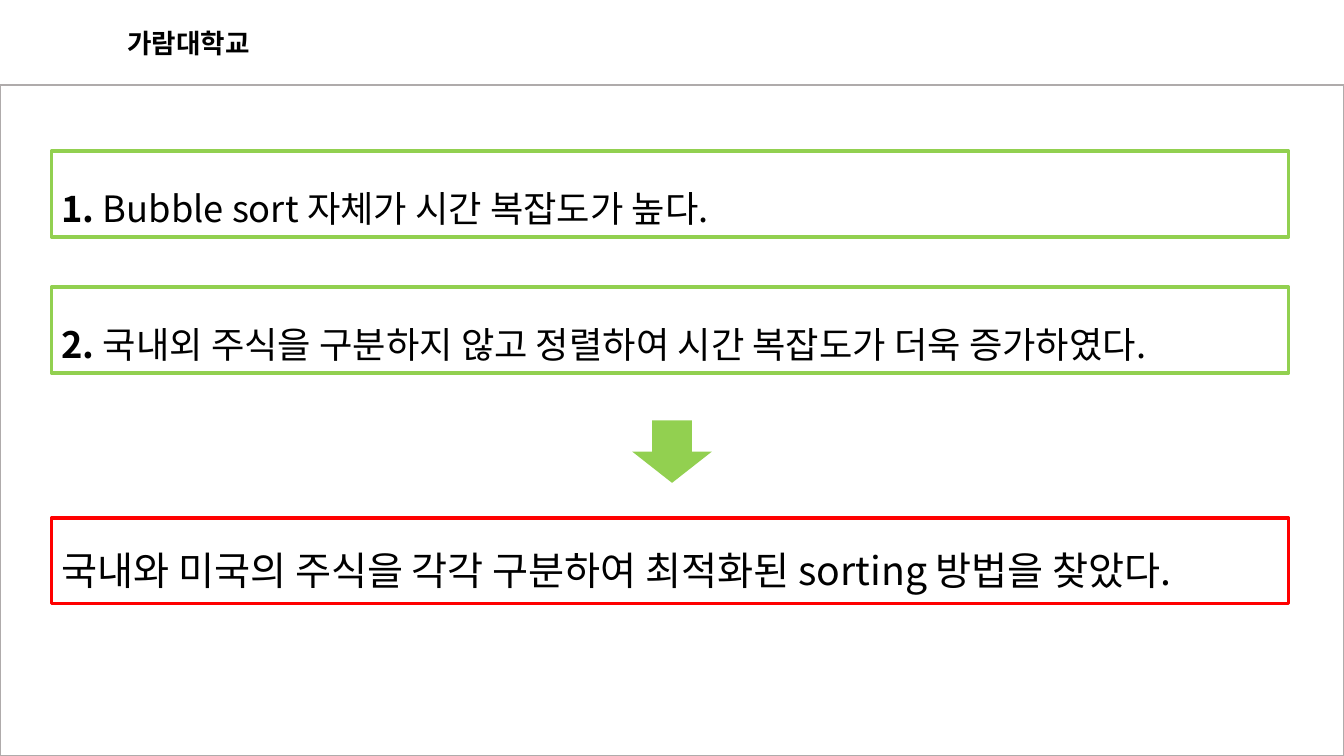
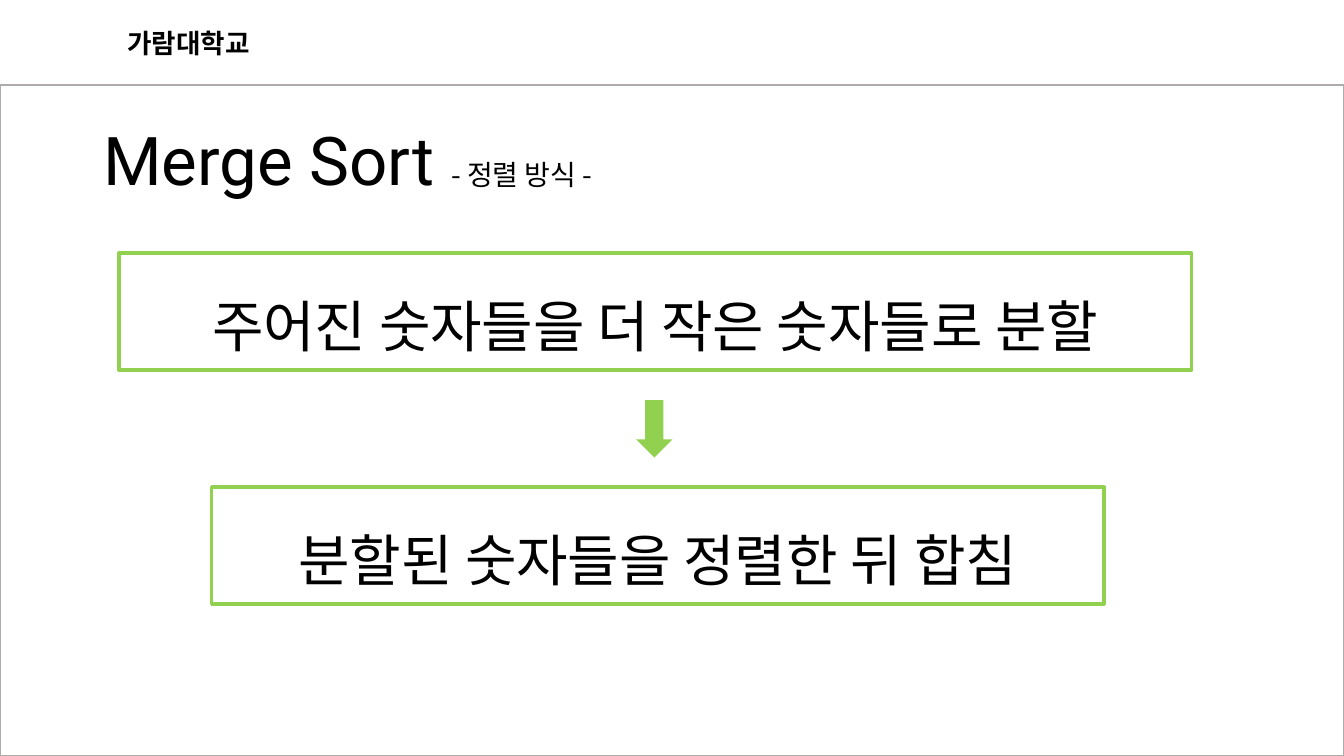
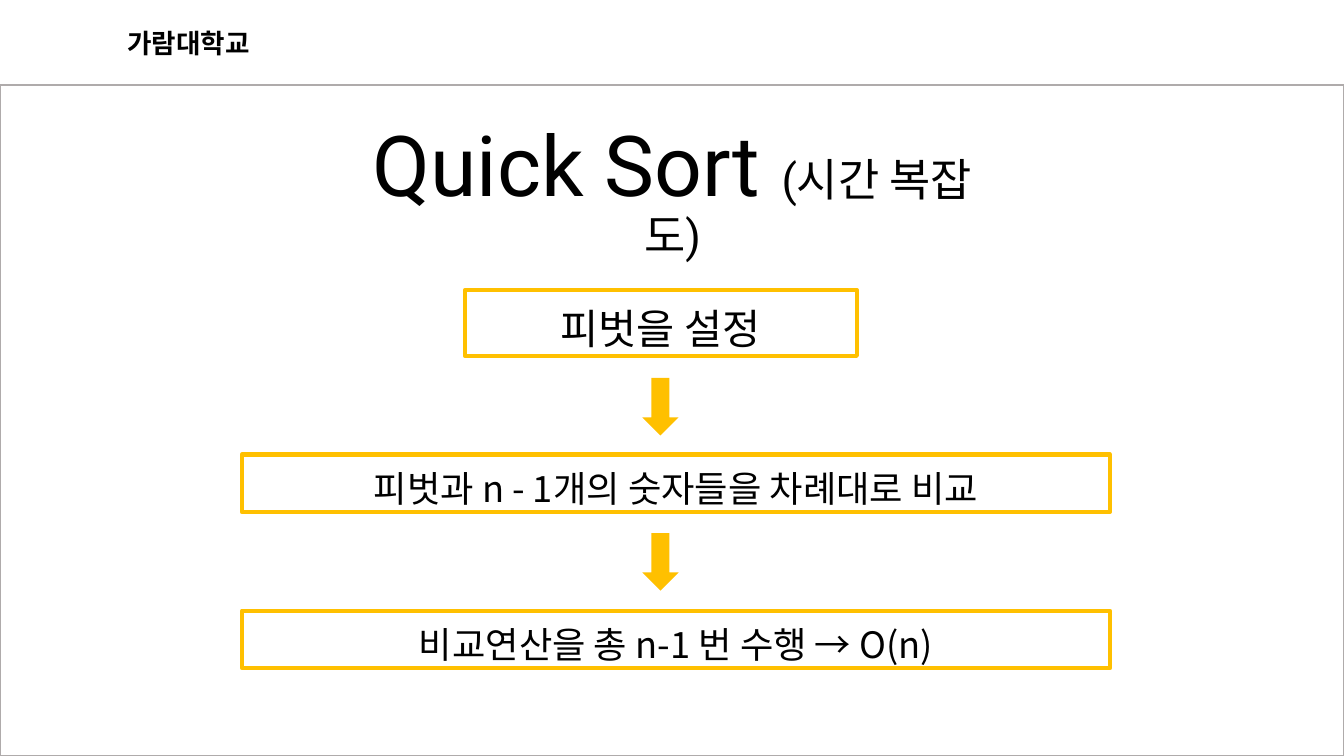
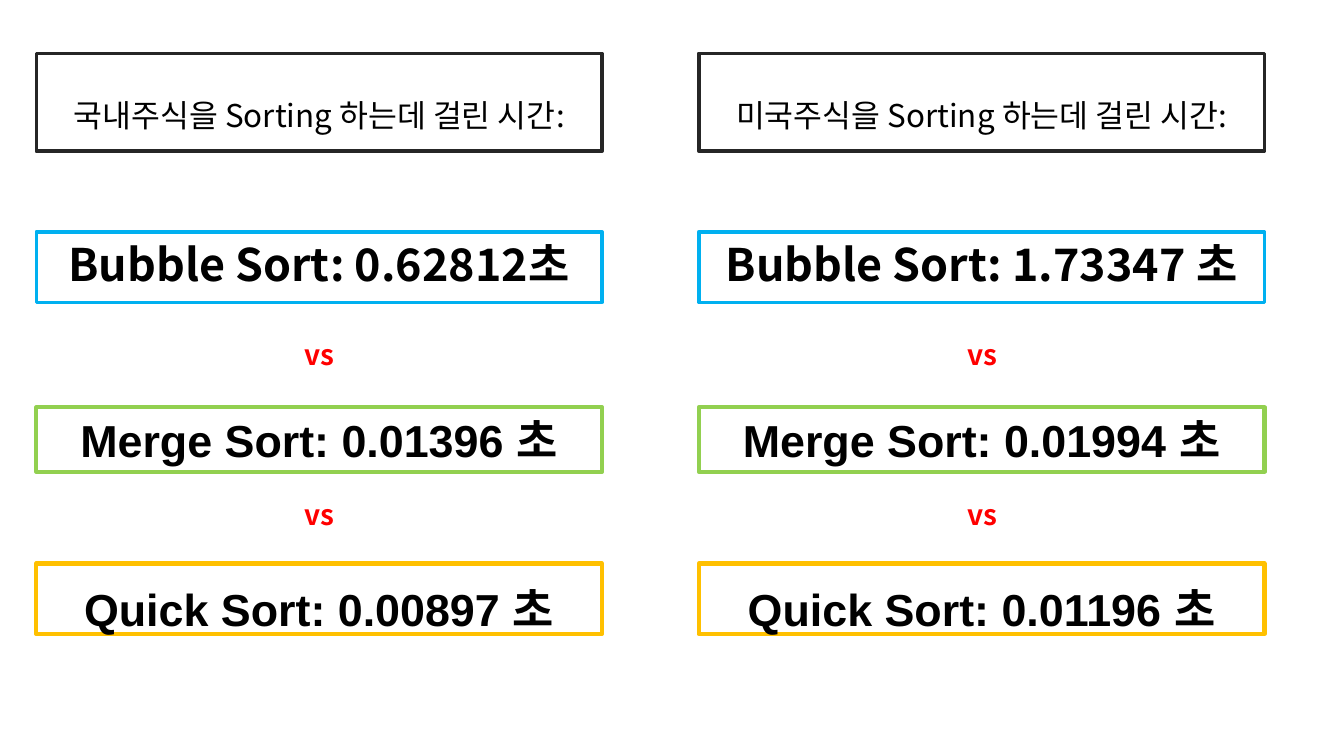
import pptx
import pptx.util
import pptx.dml.color
import pptx.enum.shapes
import pptx.enum.text
import pptx.oxml.ns
from lxml import etree

KOREAN = "Noto Sans CJK KR"
BLACK, GREY, DARK = "000000", "AFABAB", "262626"
GREEN, AMBER, RED, BLUE = "92D050", "FFC000", "FF0000", "00B0F0"
SLIDE = (0, 0, 13.33, 7.5)
TITLE_ONLY, BLANK = 5, 6
SHAPES = pptx.enum.shapes.MSO_SHAPE
ALIGN = pptx.enum.text.PP_ALIGN
ANCHOR = pptx.enum.text.MSO_ANCHOR
FIT = pptx.enum.text.MSO_AUTO_SIZE


def rgb(value):
    """Turn a hex string into a colour."""
    return pptx.dml.color.RGBColor.from_string(value)


def part(box, x, y, w, h):
    """Return the area at the given percentages of a box, in inches."""
    left, top, width, height = box
    return (left + width * x / 100, top + height * y / 100,
            width * w / 100, height * h / 100)


def emu(box):
    """Convert a box from inches to slide units."""
    return [pptx.util.Inches(v) for v in box]


def style(font, size=None, name=None, color=None, bold=None):
    """Set the given properties of a font."""
    if size:
        font.size = pptx.util.Pt(size)
    if name:
        font.name = name
    if color:
        font.color.rgb = rgb(color)
    if bold is not None:
        font.bold = bold


def write(tf, runs, size, name=KOREAN, color=BLACK, bold=False, align=ALIGN.CENTER,
          spacing=None, before=0, anchor=ANCHOR.TOP, fit=FIT.NONE):
    """Write one paragraph; runs is a text or a list of (text, font changes)."""
    tf.word_wrap = True
    tf.auto_size = fit
    tf.vertical_anchor = anchor
    p = tf.paragraphs[0]
    p.alignment = align
    p.line_spacing = spacing
    p.space_before = pptx.util.Pt(before)
    style(p.font, size, name, color, bold)
    for text, changes in [(runs, {})] if isinstance(runs, str) else runs:
        r = p.add_run()
        r.text = text
        style(r.font, **changes)
    for latin in list(p._p.iter(pptx.oxml.ns.qn("a:latin"))):
        ea = etree.Element(pptx.oxml.ns.qn("a:ea"), typeface=KOREAN)
        latin.addnext(ea)


def shape(s, box, kind=SHAPES.RECTANGLE, fill=None, line=None, width=2.5):
    """Add a flat preset shape."""
    sp = s.shapes.add_shape(kind, *emu(box))
    sp.shadow.inherit = False
    if fill:
        sp.fill.solid()
        sp.fill.fore_color.rgb = rgb(fill)
    else:
        sp.fill.background()
    if line:
        sp.line.color.rgb = rgb(line)
        sp.line.width = pptx.util.Pt(width)
    else:
        sp.line.fill.background()
    return sp


def outlined(s, box, runs, size, line, width=2.5, **text):
    """Add an outlined box holding one paragraph."""
    write(shape(s, box, line=line, width=width).text_frame, runs, size, **text)


def label(s, box, text, size, color=BLACK):
    """Add a bold centred label."""
    tf = s.shapes.add_textbox(*emu(box)).text_frame
    write(tf, text, size, color=color, bold=True, anchor=ANCHOR.MIDDLE)


def arrow(s, box, color):
    """Add a filled down arrow."""
    shape(s, box, SHAPES.DOWN_ARROW, fill=color)


def framed_slide(prs, layout=BLANK):
    """Add a slide with the header band and the content frame."""
    s = prs.slides.add_slide(prs.slide_layouts[layout])
    shape(s, part(SLIDE, 0, 11.2, 100, 88.8), line=GREY, width=1.5)
    label(s, part(SLIDE, 6.38, 2.4, 15.3, 6.53), "가람대학교", 19)
    return s


def title(s, box, runs, size):
    """Place and fill the title placeholder."""
    sp = s.shapes.title
    sp.left, sp.top, sp.width, sp.height = emu(box)
    write(sp.text_frame, runs, size, name="Roboto", spacing=0.9, anchor=ANCHOR.MIDDLE)


def problem_slide(prs, box):
    """Show the numbered problems and the conclusion drawn from them."""
    s = framed_slide(prs)
    problems = ["Bubble sort 자체가 시간 복잡도가 높다.",
                "국내외 주식을 구분하지 않고 정렬하여 시간 복잡도가 더욱 증가하였다."]
    for i, problem in enumerate(problems):
        outlined(s, part(box, 3.83, 20 + 18 * i, 92.05, 11.33),
                 [(f"{i + 1}. ", {"bold": True}), (problem, {})], 25.9, GREEN,
                 align=ALIGN.LEFT, spacing=1.7, before=10)
    outlined(s, part(box, 3.83, 68.53, 92.05, 11.33),
             "국내와 미국의 주식을 각각 구분하여 최적화된 sorting 방법을 찾았다.",
             28, RED, align=ALIGN.LEFT, spacing=1.5, before=10)
    arrow(s, part(box, 47.04, 55.6, 5.93, 8.27), GREEN)


def steps_slide(prs, box, heading, heading_size, heading_at, steps, arrows,
                color, width, spacing):
    """Show a titled chain of steps joined by arrows."""
    s = framed_slide(prs, TITLE_ONLY)
    title(s, part(box, *heading_at), heading, heading_size)
    for text, size, at in steps:
        outlined(s, part(box, *at), text, size, color, width,
                 spacing=spacing, before=10)
    for x, y in arrows:
        arrow(s, part(box, x, y, 2.7, 7.6), color)


def timing_column(s, box, market, bubble, merge, quick):
    """Show the sorting times of one market, one below the other."""
    outlined(s, part(box, 0, 0, 100, 16.84), f"{market}을 Sorting 하는데 걸린 시간:",
             22.4, DARK, spacing=2.0, before=10)
    outlined(s, part(box, 0, 30.73, 100, 12.15), f"Bubble Sort: {bubble}",
             32, BLUE, bold=True, before=10)
    outlined(s, part(box, 0, 60.94, 100, 11.11), f"Merge Sort: {merge}",
             32, GREEN, 3, name="Arial", bold=True, fit=FIT.SHAPE_TO_FIT_TEXT)
    outlined(s, part(box, 0, 87.85, 100, 12.15), f"Quick Sort: {quick}",
             32, AMBER, 3, name="Arial", bold=True, spacing=1.25,
             fit=FIT.SHAPE_TO_FIT_TEXT)
    for y in (48.44, 76.04):
        label(s, part(box, 30.84, y, 38.5, 6.77), "vs", 20, RED)


def timing_slide(prs, box):
    """Compare the sorting times of both markets."""
    s = prs.slides.add_slide(prs.slide_layouts[BLANK])
    columns = [("국내주식", "0.62812초", "0.01396 초", "0.00897 초"),
               ("미국주식", "1.73347 초", "0.01994 초", "0.01196 초")]
    for x, column in zip((2.7, 51.99), columns):
        timing_column(s, part(box, x, 7.07, 42.09, 76.8), *column)


prs = pptx.Presentation()
prs.slide_width, prs.slide_height = emu(SLIDE[2:])
problem_slide(prs, SLIDE)
steps_slide(prs, SLIDE,
            [("Merge Sort ", {}), ("- 정렬 방식 -", {"size": 20, "name": KOREAN})],
            48, (4.43, 17.33, 42.91, 8.67),
            [("주어진 숫자들을 더 작은 숫자들로 분할", 40, (8.85, 33.47, 79.82, 15.47)),
             ("분할된 숫자들을 정렬한 뒤 합침", 40, (15.75, 64.4, 66.39, 15.47))],
            [(47.34, 52.93)], GREEN, 2.5, 1.5)
steps_slide(prs, SLIDE,
            [("Quick Sort ", {}), ("(시간 복잡도)", {"size": 32})],
            60, (25.36, 19.2, 49.36, 12.67),
            [("피벗을 설정", 29.6, (34.58, 38.4, 29.18, 8.67)),
             ("피벗과 n - 1개의 숫자들을 차례대로 비교", 25.9, (18, 60.13, 64.59, 7.6)),
             ("비교연산을 총 n-1 번 수행 → O(n)", 25.9, (18, 80.8, 64.59, 7.6))],
            [(47.79, 50), (47.79, 70.53)], AMBER, 3, 1.15)
timing_slide(prs, SLIDE)
prs.save("out.pptx")
